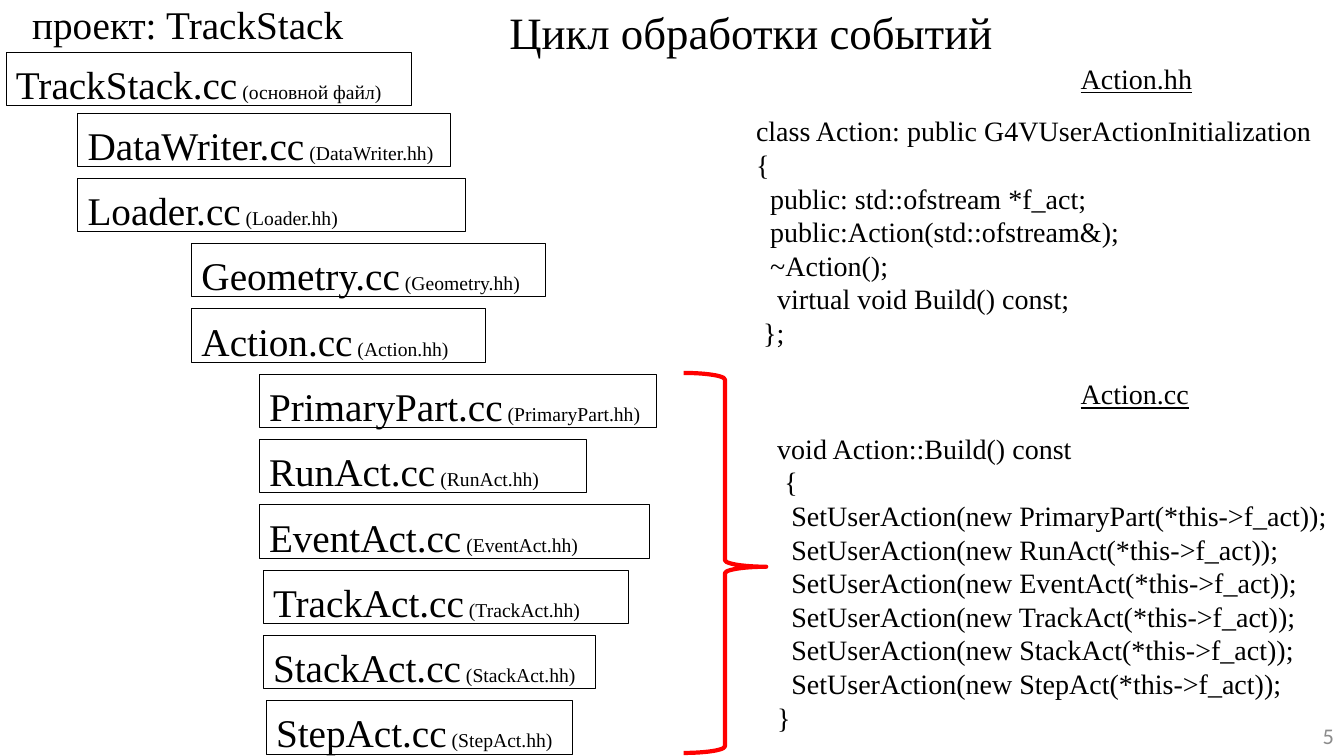
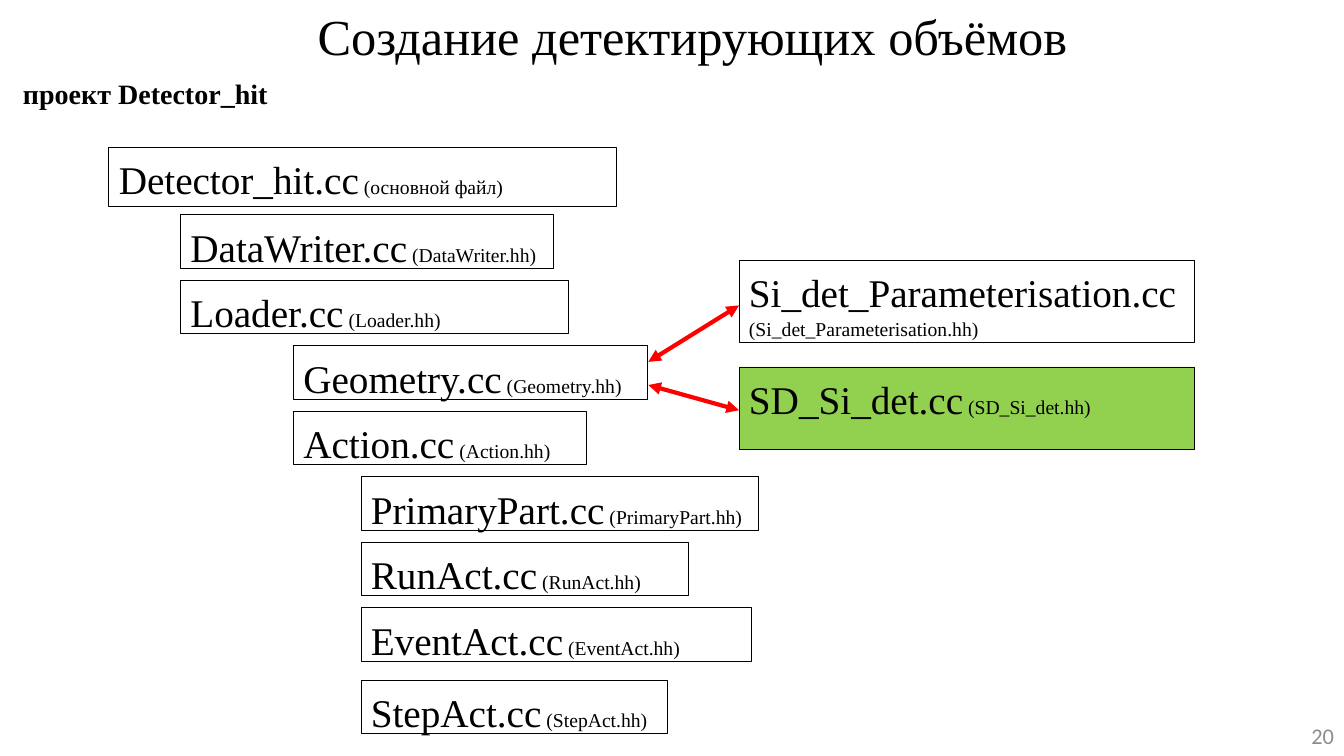
from lxml import etree
from pptx import Presentation
from pptx.dml.color import RGBColor
from pptx.enum import shapes, text
from pptx.oxml import ns
from pptx.util import Inches, Pt

BLACK = RGBColor(0x00, 0x00, 0x00)
WHITE = RGBColor(0xFF, 0xFF, 0xFF)
RED = RGBColor(0xFF, 0x00, 0x00)
GREEN = RGBColor(0x92, 0xD0, 0x50)
GRAY = RGBColor(0x8C, 0x8C, 0x8C)

SERIF = "Times New Roman"
LEFT, CENTER, RIGHT = text.PP_ALIGN.LEFT, text.PP_ALIGN.CENTER, text.PP_ALIGN.RIGHT
FILE_HEIGHT = 0.53
CODE_INDENT = 0.07  # one space of 20 pt code

FILE_WIDTHS = {
    "DataWriter": 3.7, "Loader": 3.85, "Geometry": 3.51, "Action": 2.91,
    "PrimaryPart": 3.94, "RunAct": 3.25, "EventAct": 3.87,
    "TrackAct": 3.62, "StackAct": 3.3, "StepAct": 3.04,
}
# File name and left edge, from top to bottom
TRACK_FILES = [
    ("DataWriter", 0.77), ("Loader", 0.77), ("Geometry", 1.9), ("Action", 1.9),
    ("PrimaryPart", 2.57), ("RunAct", 2.57), ("EventAct", 2.57),
    ("TrackAct", 2.61), ("StackAct", 2.61), ("StepAct", 2.64),
]
HIT_FILES = [
    ("DataWriter", 1.79), ("Loader", 1.79), ("Geometry", 2.91), ("Action", 2.91),
    ("PrimaryPart", 3.58), ("RunAct", 3.58), ("EventAct", 3.58),
]
# Indent in spaces and code line
HEADER_CODE = [
    (0, "class Action: public G4VUserActionInitialization"),
    (0, "{"),
    (2, "public: std::ofstream *f_act;"),
    (2, "public:Action(std::ofstream&);"),
    (2, "~Action();"),
    (3, "virtual void Build() const;"),
    (1, "};"),
]
USER_ACTIONS = ["PrimaryPart", "RunAct", "EventAct", "TrackAct", "StackAct", "StepAct"]
SOURCE_CODE = [
    (0, "void Action::Build() const"),
    (1, "{"),
    *[(2, f"SetUserAction(new {name}(*this->f_act));") for name in USER_ACTIONS],
    (0, "}"),
]


def add_run(p, content, color=BLACK, **font):
    r = p.add_run()
    r.text = content
    r.font.color.rgb = color
    for name, value in {"name": SERIF, **font}.items():
        setattr(r.font, name, value)


def set_frame(tf, anchor=text.MSO_ANCHOR.TOP):
    values = {"word_wrap": True, "auto_size": text.MSO_AUTO_SIZE.NONE,
              "vertical_anchor": anchor}
    for name, value in values.items():
        setattr(tf, name, value)


def add_label(s, box, content, size, align=LEFT, anchor=text.MSO_ANCHOR.TOP, **font):
    tf = s.shapes.add_textbox(*map(Inches, box)).text_frame
    set_frame(tf, anchor)
    p = tf.paragraphs[0]
    p.alignment = align
    add_run(p, content, size=Pt(size), **font)


def add_code(s, box, lines):
    tf = s.shapes.add_textbox(*map(Inches, box)).text_frame
    set_frame(tf)
    for i, (indent, line) in enumerate(lines):
        p = tf.add_paragraph() if i else tf.paragraphs[0]
        p._p.get_or_add_pPr().set("marL", str(Inches(indent * CODE_INDENT)))
        add_run(p, line, size=Pt(20))


def add_file(s, box, name, note, fill=WHITE):
    """Framed file name followed by a smaller note."""
    sp = s.shapes.add_shape(shapes.MSO_SHAPE.RECTANGLE, *map(Inches, box))
    sp.shadow.inherit = False
    sp.fill.solid()
    sp.fill.fore_color.rgb = fill
    sp.line.color.rgb = BLACK
    sp.line.width = Pt(0.5)
    set_frame(sp.text_frame)
    p = sp.text_frame.paragraphs[0]
    for key, value in {"alignment": LEFT, "line_spacing": 1.07,
                       "space_after": Pt(8)}.items():
        setattr(p, key, value)
    add_run(p, name, size=Pt(28))
    add_run(p, f" ({note})", size=Pt(14))


def add_class_file(s, left, top, name):
    add_file(s, (left, top, FILE_WIDTHS[name], FILE_HEIGHT), f"{name}.cc", f"{name}.hh")


def add_file_steps(s, files, first, last):
    """Class files at equal steps between the first and last top edge."""
    step = (last - first) / (len(files) - 1)
    for i, (name, left) in enumerate(files):
        add_class_file(s, left, first + i * step, name)


def add_brace(s, box):
    sp = s.shapes.add_shape(shapes.MSO_SHAPE.RIGHT_BRACE, *map(Inches, box))
    sp.shadow.inherit = False
    sp.fill.background()
    sp.line.color.rgb = RED
    sp.line.width = Pt(3)
    sp.adjustments[0] = 0.08
    sp.adjustments[1] = 0.51


def add_double_arrow(s, start, end):
    c = s.shapes.add_connector(shapes.MSO_CONNECTOR.STRAIGHT,
                               *map(Inches, (*start, *end)))
    c.line.color.rgb = RED
    c.line.width = Pt(3)
    ln = c.line._get_or_add_ln()
    for tag in ("a:headEnd", "a:tailEnd"):
        etree.SubElement(ln, ns.qn(tag), type="triangle")
    etree.SubElement(c._element.spPr, ns.qn("a:effectLst"))


def new_slide(prs, title, box, size, align, number):
    s = prs.slides.add_slide(prs.slide_layouts[5])
    sp = s.shapes.title
    sp.left, sp.top, sp.width, sp.height = map(Inches, box)
    set_frame(sp.text_frame)
    p = sp.text_frame.paragraphs[0]
    p.alignment = align
    add_run(p, title, size=Pt(size))
    add_label(s, (12.67, 7.1, 0.66, 0.4), number, 16, RIGHT,
              text.MSO_ANCHOR.MIDDLE, color=GRAY, name="Calibri")
    return s


def add_event_loop_slide(prs):
    s = new_slide(prs, "Цикл обработки событий", (4.89, 0, 5.12, 0.64), 32, CENTER, "5")
    add_label(s, (0.22, -0.05, 3.7, 0.57), "проект: TrackStack", 28)
    add_file(s, (0.06, 0.52, 4.02, FILE_HEIGHT), "TrackStack.cc", "основной файл")
    add_file_steps(s, TRACK_FILES, 1.12, 6.95)
    add_brace(s, (6.78, 3.7, 0.82, 3.77))
    add_label(s, (10.62, 0.56, 1.39, 0.44), "Action.hh", 20, underline=True)
    add_code(s, (7.4, 1.08, 5.88, 2.46), HEADER_CODE)
    add_label(s, (10.62, 3.69, 1.39, 0.44), "Action.cc", 20, underline=True)
    add_code(s, (7.61, 4.23, 5.68, 3.13), SOURCE_CODE)


def add_detector_slide(prs):
    s = new_slide(prs, "Создание детектирующих объёмов", (3.05, 0, 8.03, 0.71), 36,
                  LEFT, "20")
    add_label(s, (0.13, 0.71, 3.73, 0.44), "проект Detector_hit", 20, bold=True)
    add_file(s, (1.08, 1.46, 5.03, 0.59), "Detector_hit.cc", "основной файл")
    add_file_steps(s, HIT_FILES, 2.13, 6.03)
    add_class_file(s, 3.58, 6.75, "StepAct")
    for name, top, fill in (("Si_det_Parameterisation", 2.58, WHITE),
                            ("SD_Si_det", 3.64, GREEN)):
        add_file(s, (7.33, top, 4.52, 0.82), f"{name}.cc", f"{name}.hh", fill)
    add_double_arrow(s, (6.43, 3.59), (7.33, 3.03))
    add_double_arrow(s, (6.43, 3.82), (7.33, 4.07))


def main():
    prs = Presentation()
    prs.slide_width, prs.slide_height = Inches(13.33), Inches(7.5)
    add_event_loop_slide(prs)
    add_detector_slide(prs)
    prs.save("out.pptx")


if __name__ == "__main__":
    main()
